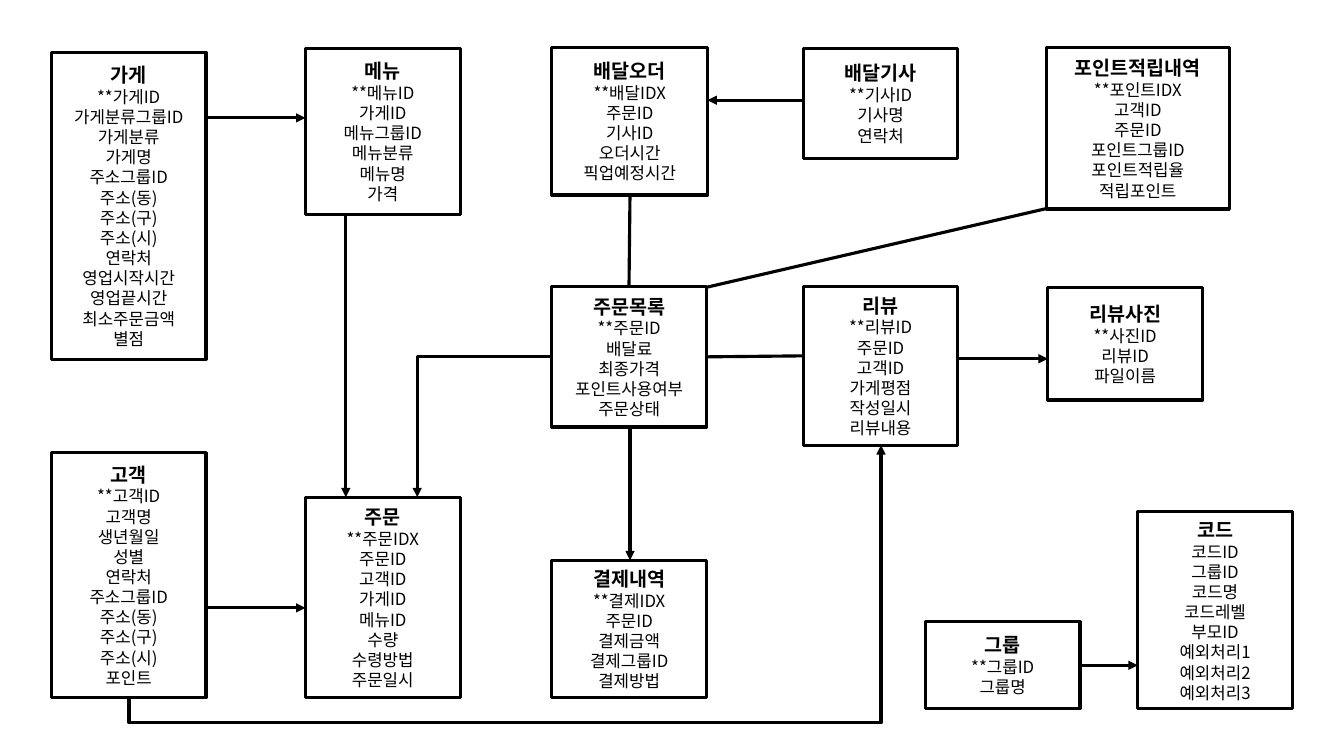
import pptx
import pptx.dml.color
import pptx.enum.shapes
import pptx.enum.text
import pptx.oxml
import pptx.oxml.ns
import pptx.util
from pptx.util import Pt

BLACK = pptx.dml.color.RGBColor(0x00, 0x00, 0x00)
WHITE = pptx.dml.color.RGBColor(0xFF, 0xFF, 0xFF)
FONT = "Noto Sans CJK KR"
NAME_FORMAT = {"size": Pt(14), "bold": True, "name": FONT}
FIELD_FORMAT = {"size": Pt(12), "bold": False, "name": FONT}
FRAME_FORMAT = {"word_wrap": True, "vertical_anchor": pptx.enum.text.MSO_ANCHOR.MIDDLE}
LINE_WIDTH = 2.25
LINE_RATIO = 1.2
WIDTH = 110.5
COLUMN = [36.7, 218.2, 394.2, 573.8, 748.5]

ENTITIES = {
    "가게": ((COLUMN[0], 37.4, WIDTH, 219.2),
           "**가게ID 가게분류그룹ID 가게분류 가게명 주소그룹ID 주소(동) 주소(구) 주소(시) "
           "연락처 영업시작시간 영업끝시간 최소주문금액 별점"),
    "메뉴": ((COLUMN[1], 34.4, WIDTH, 118.8),
           "**메뉴ID 가게ID 메뉴그룹ID 메뉴분류 메뉴명 가격"),
    "배달오더": ((COLUMN[2], 33.8, 111.2, 105.5),
             "**배달IDX 주문ID 기사ID 오더시간 픽업예정시간"),
    "배달기사": ((COLUMN[3], 34.6, WIDTH, 78.5), "**기사ID 기사명 연락처"),
    "포인트적립내역": ((747.4, 33.8, 130.7, 115.5),
                "**포인트IDX 고객ID 주문ID 포인트그룹ID 포인트적립율 적립포인트"),
    "주문목록": ((COLUMN[2], 204.7, WIDTH, 100.4),
             "**주문ID 배달료 최종가격 포인트사용여부 주문상태"),
    "리뷰": ((COLUMN[3], 204.7, WIDTH, 113.3),
           "**리뷰ID 주문ID 고객ID 가게평점 작성일시 리뷰내용"),
    "리뷰사진": ((COLUMN[4], 205.2, WIDTH, 80.6), "**사진ID 리뷰ID 파일이름"),
    "고객": ((COLUMN[0], 323.3, WIDTH, 175),
           "**고객ID 고객명 생년월일 성별 연락처 주소그룹ID 주소(동) 주소(구) 주소(시) 포인트"),
    "주문": ((COLUMN[1], 355.2, WIDTH, 143.3),
           "**주문IDX 주문ID 고객ID 가게ID 메뉴ID 수량 수령방법 주문일시"),
    "결제내역": ((COLUMN[2], 400.2, WIDTH, 98.3),
             "**결제IDX 주문ID 결제금액 결제그룹ID 결제방법"),
    "그룹": ((661, 444.2, WIDTH, 61.9), "**그룹ID 그룹명"),
    "코드": ((812.7, 365.3, WIDTH, 141.1),
           "코드ID 그룹ID 코드명 코드레벨 부모ID 예외처리1 예외처리2 예외처리3"),
}

STRAIGHT_LINKS = [
    ("가게", "right", 84.2, "메뉴", "left", 84.2, True),
    ("고객", "right", 434.2, "주문", "left", 434.2, True),
    ("메뉴", "bottom", 247, "주문", "top", 247, True),
    ("주문목록", "bottom", 450, "결제내역", "top", 450, True),
    ("배달기사", "left", 71.6, "배달오더", "right", 71.6, True),
    ("리뷰", "right", 256.3, "리뷰사진", "left", 256.3, True),
    ("그룹", "right", 475.2, "코드", "left", 475.2, True),
    ("배달오더", "bottom", 450, "주문목록", "top", 449.3, False),
    ("주문목록", "right", 205.2, "포인트적립내역", "left", 149, False),
    ("주문목록", "right", 254.9, "리뷰", "left", 254.2, False),
]


def apply_format(target, values):
    """Set each attribute of the target from a dict of values."""
    for attribute, value in values.items():
        setattr(target, attribute, value)


def style_line(line, arrow=False):
    """Make a line black, with an arrowhead at its end if wanted."""
    line.color.rgb = BLACK
    line.width = Pt(LINE_WIDTH)
    if arrow:
        line._get_or_add_ln().append(pptx.oxml.parse_xml(
            f'<a:tailEnd {pptx.oxml.ns.nsdecls("a")} type="triangle"/>'))


def write_line(para, text, values):
    """Write one centred line of entity text."""
    apply_format(para, {"alignment": pptx.enum.text.PP_ALIGN.CENTER,
                        "line_spacing": Pt(values["size"].pt * LINE_RATIO)})
    span = para.add_run()
    span.text = text
    apply_format(span.font, values)
    span.font.color.rgb = BLACK
    span.font._element.append(pptx.oxml.parse_xml(
        f'<a:ea {pptx.oxml.ns.nsdecls("a")} typeface="{FONT}"/>'))


def draw_entity(page, box, name, fields):
    """Draw an entity with its bold name above its fields."""
    shape = page.shapes.add_shape(
        pptx.enum.shapes.MSO_SHAPE.RECTANGLE, *map(Pt, box))
    shape.shadow.inherit = False
    shape.fill.solid()
    shape.fill.fore_color.rgb = WHITE
    style_line(shape.line)
    frame = shape.text_frame
    apply_format(frame, FRAME_FORMAT)
    write_line(frame.paragraphs[0], name, NAME_FORMAT)
    for field in fields:
        write_line(frame.add_paragraph(), field, FIELD_FORMAT)


def port(name, side, along):
    """Return the point on one side of an entity at the given coordinate."""
    left, top, width, height = ENTITIES[name][0]
    return {"left": (left, along), "right": (left + width, along),
            "top": (along, top), "bottom": (along, top + height)}[side]


def draw_link(page, kind, start, end, arrow=True):
    """Draw a connector between two points."""
    link = page.shapes.add_connector(kind, *map(Pt, start + end))
    style_line(link.line, arrow)
    link._element.spPr.append(
        pptx.oxml.parse_xml(f'<a:effectLst {pptx.oxml.ns.nsdecls("a")}/>'))
    return link


def draw_corner_link(page, start, end):
    """Draw a link that runs across and then turns down once."""
    link = draw_link(page, pptx.enum.shapes.MSO_CONNECTOR.ELBOW, start, end)
    link._element.spPr.find(pptx.oxml.ns.qn("a:prstGeom")).set("prst", "bentConnector2")


def draw_under_link(page, start, end, drop):
    """Draw a link that drops below its start, runs right and rises to its end."""
    floor = start[1] + drop
    outline = page.shapes.build_freeform(*map(Pt, start))
    turns = [(start[0], floor), (end[0], floor), end]
    outline.add_line_segments([(Pt(x), Pt(y)) for x, y in turns], close=False)
    link = outline.convert_to_shape()
    link.shadow.inherit = False
    link.fill.background()
    style_line(link.line, arrow=True)


def draw_diagram(page):
    """Draw all entities and the links between them."""
    for name, (box, fields) in ENTITIES.items():
        draw_entity(page, box, name, fields.split())
    for source, exit_side, exit_at, target, entry_side, entry_at, arrow in STRAIGHT_LINKS:
        draw_link(page, pptx.enum.shapes.MSO_CONNECTOR.STRAIGHT,
                  port(source, exit_side, exit_at),
                  port(target, entry_side, entry_at), arrow)
    draw_corner_link(page, port("주문목록", "left", 254.9), port("주문", "top", 298.1))
    draw_under_link(page, port("고객", "bottom", 92.2), port("리뷰", "bottom", 629.3), 18)


def main():
    """Build the entity diagram and save it."""
    deck = pptx.Presentation()
    apply_format(deck, {"slide_width": Pt(960), "slide_height": Pt(540)})
    page = deck.slides.add_slide(deck.slide_layouts[6])
    draw_diagram(page)
    deck.save("out.pptx")


if __name__ == "__main__":
    main()
